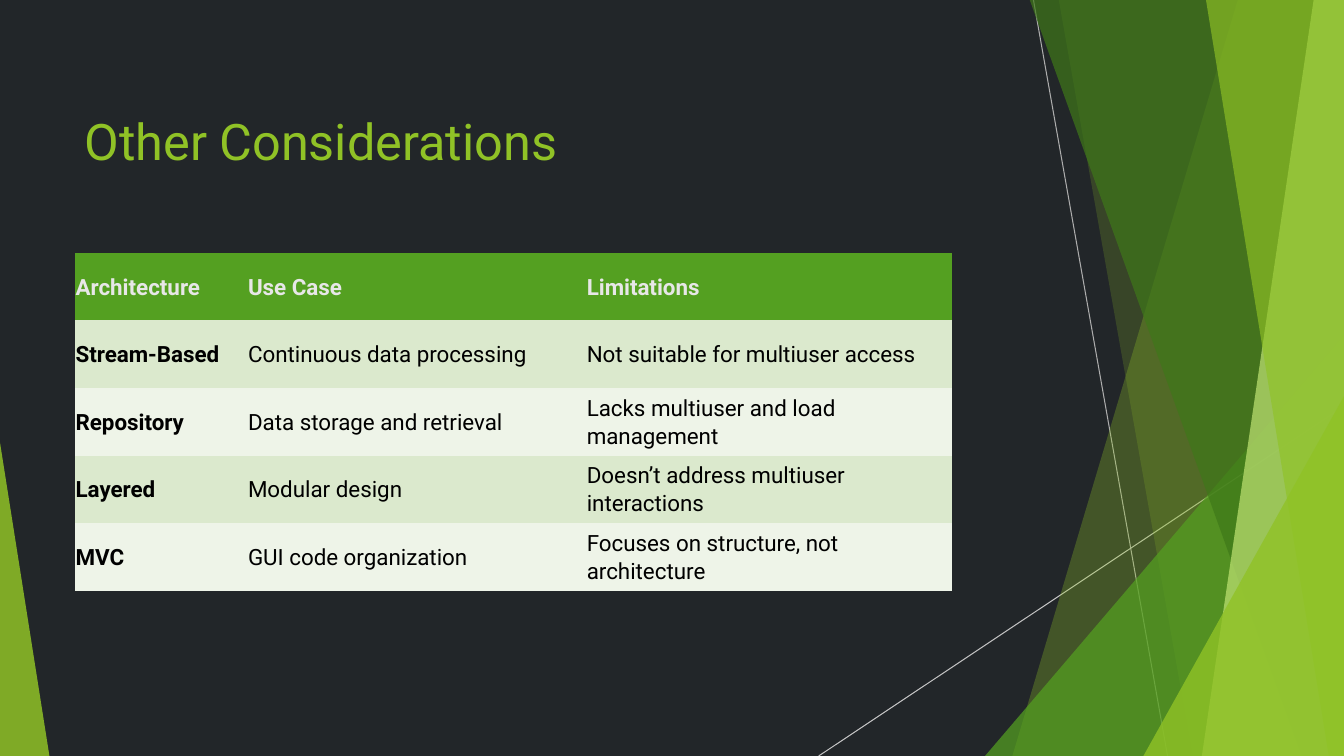
from lxml import etree
from pptx import Presentation
from pptx.dml.color import RGBColor
from pptx.enum.shapes import MSO_CONNECTOR, MSO_SHAPE
from pptx.enum.text import MSO_ANCHOR
from pptx.oxml.ns import qn
from pptx.util import Inches, Pt

STRAIGHT = MSO_CONNECTOR.STRAIGHT
TRIANGLE = MSO_SHAPE.ISOSCELES_TRIANGLE
MIDDLE = MSO_ANCHOR.MIDDLE

FONT = "Roboto"
PLAIN_TABLE_STYLE = "{2D5ABB26-0587-4C30-8999-92F81FD0307C}"
SLIDE_WIDTH, SLIDE_HEIGHT = 13.33, 7.5
COLORS = {
    "background": "222629",
    "lime": "90C226",
    "green": "54A021",
    "forest": "3F7819",
    "pale": "C0E474",
    "line_steep": "ADADAD",
    "line_flat": "C4C4C4",
    "header_text": "E7E7E7",
    "body_text": "000000",
    "band_dark": "DBE9CD",
    "band_light": "EEF4E8",
}

ROWS = [
    ("Architecture", "Use Case", "Limitations"),
    ("Stream-Based", "Continuous data processing", "Not suitable for multiuser access"),
    ("Repository", "Data storage and retrieval", "Lacks multiuser and load management"),
    ("Layered", "Modular design", "Doesn’t address multiuser interactions"),
    ("MVC", "GUI code organization", "Focuses on structure, not architecture"),
]
COLUMN_WIDTHS = (1.71, 3.36, 3.63)


def rgb(name):
    return RGBColor.from_string(COLORS[name])


def add_run(paragraph, text, size, color, bold=False):
    run = paragraph.add_run()
    run.text = text
    run.font.name = FONT
    run.font.size = Pt(size)
    run.font.bold = bold
    run.font.color.rgb = rgb(color)


def paint_facet(shape, color, opacity):
    """Fill a shape with a see-through colour and no outline."""
    shape.shadow.inherit = False
    shape.line.fill.background()
    shape.fill.solid()
    shape.fill.fore_color.rgb = rgb(color)
    color_element = shape.fill._xPr.find(qn("a:solidFill"))[0]
    etree.SubElement(color_element, qn("a:alpha")).set("val", str(opacity * 1000))


def add_thin_line(slide, start, end, color):
    line = slide.shapes.add_connector(STRAIGHT, *map(Inches, start + end))
    line.line.color.rgb = rgb(color)
    line.line.width = Pt(0.75)
    etree.SubElement(line._element.spPr, qn("a:effectLst"))


def add_band(slide, right, top, bottom, top_width, bottom_width, color, opacity):
    """Four-sided band that leans on the right edge."""
    builder = slide.shapes.build_freeform(Inches(right - top_width), Inches(top))
    corners = [(right, top), (right, bottom), (right - bottom_width, bottom)]
    builder.add_line_segments([(Inches(x), Inches(y)) for x, y in corners])
    paint_facet(builder.convert_to_shape(), color, opacity)


def add_corner(slide, left, bottom, width, height, apex, color, opacity):
    """Right-angled triangle standing on the bottom edge."""
    triangle = slide.shapes.add_shape(
        TRIANGLE, Inches(left), Inches(bottom - height), Inches(width), Inches(height))
    triangle.adjustments[0] = apex
    paint_facet(triangle, color, opacity)


def add_facets(slide, left, top, width, height):
    right, bottom = left + width, top + height

    # Thin crossing lines
    add_thin_line(slide, (left + 2.13, top), (left + 3.46, bottom), "line_steep")
    add_thin_line(slide, (right, top + 4.03), (left, bottom), "line_flat")

    # Overlapping bands and corners, from back to front
    def band(top_width, bottom_width, color, opacity):
        add_band(slide, right, top - 0.01, bottom, top_width, bottom_width, color, opacity)

    def corner(corner_width, corner_height, color, opacity):
        add_corner(slide, right - corner_width, bottom, corner_width, corner_height,
                   1, color, opacity)

    band(1.05, 3.29, "lime", 30)
    band(2.83, 1.5, "lime", 20)
    corner(3.56, 4.17, "green", 72)
    band(3.12, 0.42, "forest", 70)
    band(0.3, 1.41, "pale", 70)
    band(1.37, 0.15, "lime", 65)
    corner(1.99, 3.57, "lime", 80)


def add_title(slide, left, top, width, height):
    box = slide.shapes.add_textbox(*map(Inches, (left, top, width, height)))
    frame = box.text_frame
    frame.word_wrap = True
    frame.vertical_anchor = MIDDLE
    add_run(frame.paragraphs[0], "Other Considerations", 36, "lime")


def fill_cell(cell, text, fill, color, bold):
    cell.fill.solid()
    cell.fill.fore_color.rgb = rgb(fill)
    cell.vertical_anchor = MIDDLE
    cell.margin_left = cell.margin_right = Inches(0.01)
    cell.margin_top = cell.margin_bottom = Inches(0.01)
    paragraph = cell.text_frame.paragraphs[0]
    paragraph.line_spacing = 1.07
    paragraph.space_after = Pt(8)
    add_run(paragraph, text, 16, color, bold)


def add_architecture_table(slide, left, top, width, height):
    frame = slide.shapes.add_table(
        len(ROWS), len(COLUMN_WIDTHS), *map(Inches, (left, top, width, height)))
    table = frame.table
    table._tbl.tblPr.find(qn("a:tableStyleId")).text = PLAIN_TABLE_STYLE
    for column, column_width in zip(table.columns, COLUMN_WIDTHS):
        column.width = Inches(column_width)
    for row_index, row in enumerate(ROWS):
        is_header = row_index == 0
        band = "band_dark" if row_index % 2 else "band_light"
        for column_index, text in enumerate(row):
            fill_cell(
                table.cell(row_index, column_index), text,
                fill="green" if is_header else band,
                color="header_text" if is_header else "body_text",
                bold=is_header or column_index == 0)


def main():
    presentation = Presentation()
    presentation.slide_width = Inches(SLIDE_WIDTH)
    presentation.slide_height = Inches(SLIDE_HEIGHT)
    slide = presentation.slides.add_slide(presentation.slide_layouts[6])
    slide.background.fill.solid()
    slide.background.fill.fore_color.rgb = rgb("background")

    # Decoration on the right and in the lower left corner
    add_facets(slide, 8.12, 0, SLIDE_WIDTH - 8.12, SLIDE_HEIGHT)
    add_corner(slide, 0, SLIDE_HEIGHT, 0.49, 3.11, 0, "lime", 85)

    # Content
    add_title(slide, 0.74, 0.67, 9.4, 1.44)
    add_architecture_table(slide, 0.74, 2.51, sum(COLUMN_WIDTHS), 3.35)
    presentation.save("out.pptx")


if __name__ == "__main__":
    main()
